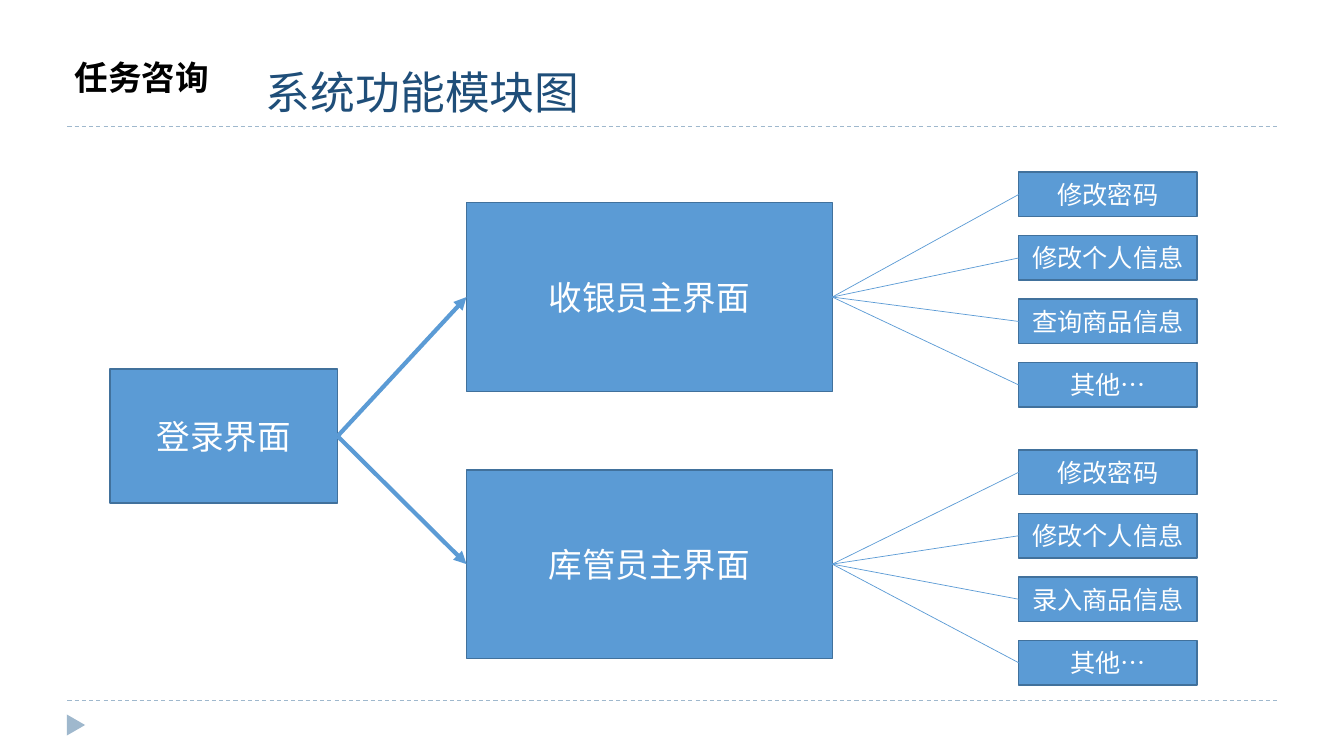
from pptx import Presentation
from pptx import util as u
from pptx.dml.color import RGBColor
from pptx.enum import dml, shapes, text
from pptx.oxml.ns import qn
from lxml import etree

BLUE = RGBColor(0x5B, 0x9B, 0xD5)
EDGE = RGBColor(0x41, 0x71, 0x9C)
RULE = RGBColor(0x9F, 0xB8, 0xCD)
NAVY = RGBColor(0x1F, 0x4E, 0x79)
BLACK = RGBColor(0, 0, 0)
WHITE = RGBColor(0xFF, 0xFF, 0xFF)
Cm = u.Cm

deck = Presentation()
deck.slide_width, deck.slide_height = Cm(33.88), Cm(19.05)
page = deck.slides.add_slide(deck.slide_layouts[5])


def write(box, words, size, color, font="Calibri", east="Noto Sans CJK SC", bold=False,
          align=text.PP_ALIGN.CENTER, anchor=text.MSO_ANCHOR.MIDDLE):
    frame = box.text_frame
    settings = {"word_wrap": True, "auto_size": text.MSO_AUTO_SIZE.NONE, "vertical_anchor": anchor}
    for name, value in settings.items():
        setattr(frame, name, value)
    para = frame.paragraphs[0]
    para.alignment = align
    span = para.add_run()
    span.text = words
    for name, value in {"name": font, "size": u.Pt(size), "bold": bold}.items():
        setattr(span.font, name, value)
    span.font.color.rgb = color
    etree.SubElement(span.font._element, qn("a:ea"), typeface=east)
    return para


def add_line(start, end, color, width):
    line = page.shapes.add_connector(shapes.MSO_CONNECTOR.STRAIGHT, *start, *end)
    line.line.color.rgb = color
    line.line.width = u.Pt(width)
    etree.SubElement(line._element.spPr, qn("a:effectLst"))
    return line


for y in (17.65, 3.18):
    rule = add_line((Cm(1.7), Cm(y)), (Cm(32.18), Cm(y)), RULE, 0.75)
    rule.line.dash_style = dml.MSO_LINE.DASH

marker = page.shapes.add_shape(shapes.MSO_SHAPE.ISOSCELES_TRIANGLE,
                               Cm(1.65), Cm(18.04), Cm(0.53), Cm(0.46))
marker.rotation = 90
marker.shadow.inherit = False
marker.fill.solid()
marker.fill.fore_color.rgb = RULE
marker.line.fill.background()

title = page.shapes.title
for name, value in {"left": 6.45, "top": 1.5, "width": 23.7, "height": 1.63}.items():
    setattr(title, name, Cm(value))
write(title, "系统功能模块图", 32, NAVY, font="Noto Sans CJK SC",
      align=text.PP_ALIGN.LEFT, anchor=text.MSO_ANCHOR.TOP)

label = page.shapes.add_textbox(Cm(1.63), Cm(1.5), Cm(4.42), Cm(1.17))
para = write(label, "任务咨询", 24, BLACK, font="Noto Sans CJK JP", east="Noto Sans CJK JP",
             bold=True, align=text.PP_ALIGN.LEFT, anchor=text.MSO_ANCHOR.TOP)
para.line_spacing = 0.8
para.space_before = u.Pt(6)

PROCESS = shapes.MSO_SHAPE.FLOWCHART_PROCESS
RECTANGLE = shapes.MSO_SHAPE.RECTANGLE
roles = [
    ("收银员主界面", 5.11, 4.34, "查询商品信息"),
    ("库管员主界面", 11.84, 11.34, "录入商品信息"),
]
nodes = [("登录界面", PROCESS, 2.77, 9.3, 5.74, 3.38, 24, None)]
for role, top, first_top, task in roles:
    role_index = len(nodes)
    nodes.append((role, PROCESS, 11.76, top, 9.22, 4.75, 24, 0))
    for row, item in enumerate(("修改密码", "修改个人信息", task, "其他…")):
        nodes.append((item, RECTANGLE, 25.68, first_top + row * 1.6, 4.5, 1.12, 18, role_index))

boxes = []
for words, kind, left, top, width, height, size, parent in nodes:
    box = page.shapes.add_shape(kind, Cm(left), Cm(top), Cm(width), Cm(height))
    box.shadow.inherit = False
    box.fill.solid()
    box.fill.fore_color.rgb = BLUE
    box.line.color.rgb = EDGE
    box.line.width = u.Pt(1)
    write(box, words, size, WHITE)
    boxes.append(box)
    if parent is None:
        continue
    link = add_line((0, 0), (0, 0), BLUE, 3 if kind == PROCESS else 0.5)
    link.begin_connect(boxes[parent], 3)
    link.end_connect(box, 1)
    if kind == PROCESS:
        etree.SubElement(link.line._get_or_add_ln(), qn("a:tailEnd"), type="triangle")

deck.save("out.pptx")
